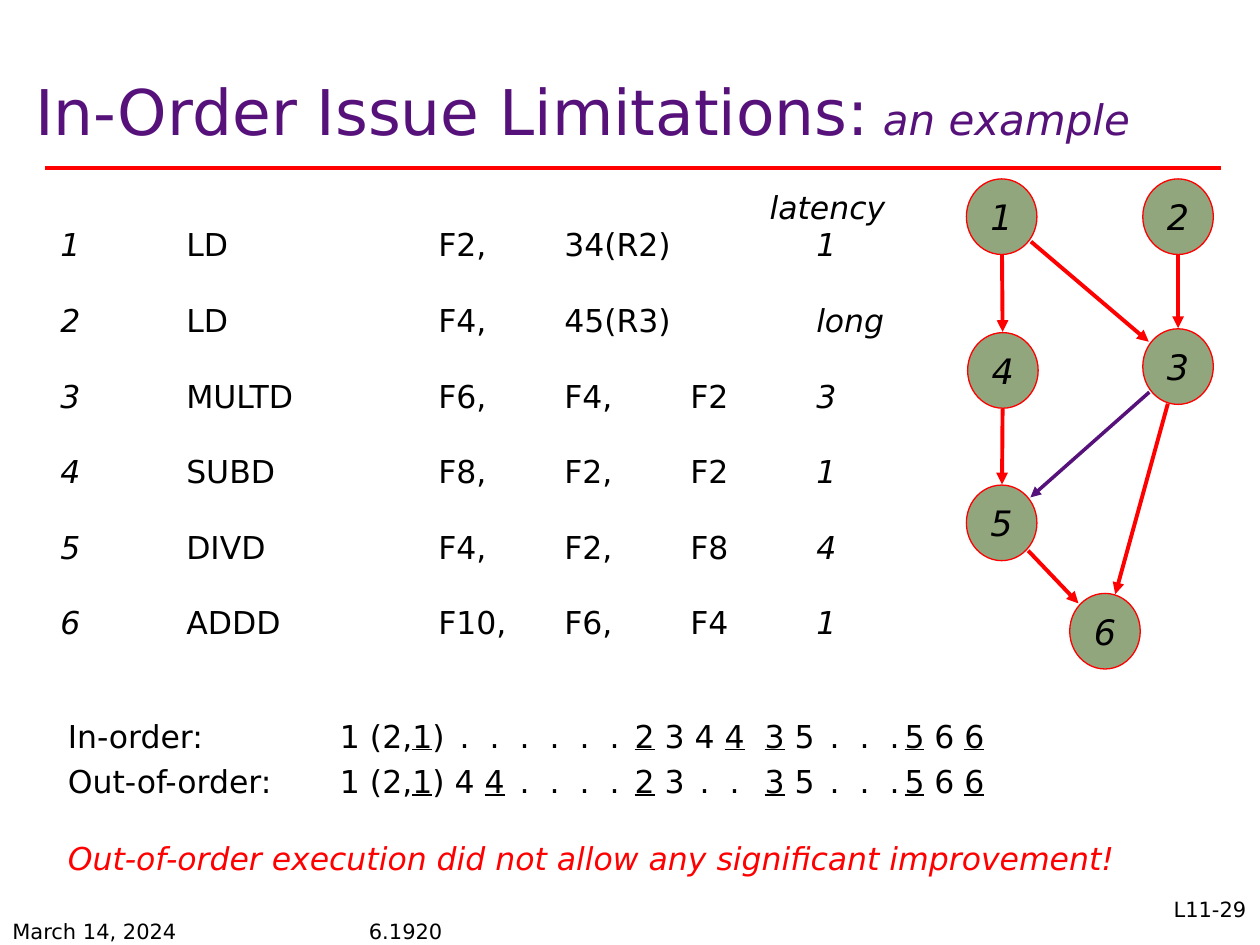
from dataclasses import dataclass
from math import hypot

from lxml import etree
from pptx import Presentation
from pptx.dml.color import RGBColor
from pptx.enum.shapes import MSO_CONNECTOR, MSO_SHAPE
from pptx.enum.text import MSO_ANCHOR, PP_ALIGN
from pptx.oxml.ns import qn
from pptx.util import Inches, Pt

STRAIGHT = MSO_CONNECTOR.STRAIGHT
OVAL = MSO_SHAPE.OVAL
TOP, MIDDLE = MSO_ANCHOR.TOP, MSO_ANCHOR.MIDDLE
LEFT, CENTER, RIGHT = PP_ALIGN.LEFT, PP_ALIGN.CENTER, PP_ALIGN.RIGHT
WIDTH, HEIGHT = Inches(10), Inches(7.5)
COLUMN, ROW = WIDTH / 100, HEIGHT / 75


@dataclass(frozen=True)
class Theme:
    """Colours, font and type sizes of the slide."""
    font: str = "DejaVu Sans"
    purple: str = "56127A"
    red: str = "FF0000"
    green: str = "91A67C"
    black: str = "000000"
    white: str = "FFFFFF"
    title: int = 36
    subtitle: int = 24
    node: int = 20
    body: int = 18
    footer: int = 12


@dataclass(frozen=True)
class Box:
    """An area given in columns and rows of the slide grid."""
    left: float
    top: float
    width: float
    height: float

    def lengths(self):
        """Return left, top, width and height as slide lengths."""
        return (round(self.left * COLUMN), round(self.top * ROW),
                round(self.width * COLUMN), round(self.height * ROW))


THEME = Theme()
INSTRUCTIONS = [
    ("LD", "F2,", "34(R2)", "", "1"),
    ("LD", "F4,", "45(R3)", "", "long"),
    ("MULTD", "F6,", "F4,", "F2", "3"),
    ("SUBD", "F8,", "F2,", "F2", "1"),
    ("DIVD", "F4,", "F2,", "F8", "4"),
    ("ADDD", "F10,", "F6,", "F4", "1"),
]
NODES = {"1": (2.8, 3), "2": (16.8, 3), "3": (16.8, 14.9),
         "4": (2.9, 15.2), "5": (2.8, 27.3), "6": (11, 35.9)}
EDGES = [("1", "4", THEME.red), ("4", "5", THEME.red), ("2", "3", THEME.red),
         ("1", "3", THEME.red), ("5", "6", THEME.red), ("3", "6", THEME.red),
         ("3", "5", THEME.purple)]
TIMELINES = [
    ("In-order:", ". . . . . . _2 3 4 _4 _3 5 . . . _5 6 _6"),
    ("Out-of-order:", "4 _4 . . . . _2 3 . . _3 5 . . . _5 6 _6"),
]


def add_run(paragraph, text, size=THEME.body, color=THEME.black, italic=False, underline=False):
    """Append one styled run to a paragraph."""
    run = paragraph.add_run()
    run.text = text
    run.font.name, run.font.size = THEME.font, Pt(size)
    run.font.color.rgb = RGBColor.from_string(color)
    run.font.italic, run.font.underline = italic, underline


def add_text_box(slide, box, anchor=TOP):
    """Add a wrapping text box and return it."""
    shape = slide.shapes.add_textbox(*box.lengths())
    shape.text_frame.word_wrap = True
    shape.text_frame.vertical_anchor = anchor
    return shape


def add_label(slide, box, text, size=THEME.body, color=THEME.black, italic=False, align=LEFT):
    """Add a text box that holds one run."""
    shape = add_text_box(slide, box)
    paragraph = shape.text_frame.paragraphs[0]
    paragraph.alignment = align
    add_run(paragraph, text, size, color, italic)
    return shape


def set_tabs(paragraph, stops):
    """Give a paragraph tab stops as (columns, alignment) pairs."""
    tabs = etree.SubElement(paragraph._p.get_or_add_pPr(), qn("a:tabLst"))
    for position, align in stops:
        etree.SubElement(tabs, qn("a:tab"), pos=str(round(position * COLUMN)), algn=align)


def add_line(slide, start, end, color, width=2.25, arrow=False):
    """Draw a straight line between two grid points."""
    points = [round(value * unit) for point in (start, end)
              for value, unit in zip(point, (COLUMN, ROW))]
    connector = slide.shapes.add_connector(STRAIGHT, *points)
    connector.line.color.rgb = RGBColor.from_string(color)
    connector.line.width = Pt(width)
    if arrow:
        etree.SubElement(connector.line._get_or_add_ln(), qn("a:tailEnd"), type="triangle")
    etree.SubElement(connector._element.spPr, qn("a:effectLst"))


def draw_title(slide, box):
    """Place the title and the rule below it."""
    paragraph = add_text_box(slide, box, MIDDLE).text_frame.paragraphs[0]
    paragraph.line_spacing = 0.8
    add_run(paragraph, "In-Order Issue Limitations:", THEME.title, THEME.purple)
    add_run(paragraph, " an example", THEME.subtitle, THEME.purple, italic=True)
    rule = box.top + box.height
    add_line(slide, (box.left + 1.8, rule), (box.left + 95.1, rule), THEME.red)


def draw_instructions(slide, box):
    """List the instructions in tabbed columns under the latency heading."""
    frame = add_text_box(slide, box).text_frame
    heading = frame.paragraphs[0]
    set_tabs(heading, [(56.3, "l")])
    add_run(heading, "\tlatency", italic=True)
    for number, (*fields, latency) in enumerate(INSTRUCTIONS, 1):
        paragraph = frame.add_paragraph()
        set_tabs(paragraph, [(stop, "l") for stop in (10, 30, 40, 50, 60)])
        if number > 1:
            paragraph.space_before = Pt(21.6)
        add_run(paragraph, str(number), italic=True)
        add_run(paragraph, "\t" + "\t".join(fields) + "\t")
        add_run(paragraph, latency, italic=True)


def draw_graph(slide, box):
    """Draw the dependency graph, with arrows trimmed to the node edges."""
    centers = {name: (box.left + x, box.top + y) for name, (x, y) in NODES.items()}
    for name, (x, y) in centers.items():
        shape = slide.shapes.add_shape(OVAL, *Box(x - 2.8, y - 3, 5.6, 6).lengths())
        shape.shadow.inherit = False
        shape.fill.solid()
        shape.fill.fore_color.rgb = RGBColor.from_string(THEME.green)
        shape.line.color.rgb = RGBColor.from_string(THEME.red)
        shape.line.width = Pt(0.75)
        frame = shape.text_frame
        frame.margin_left = frame.margin_right = frame.margin_top = frame.margin_bottom = 0
        frame.vertical_anchor = MIDDLE
        frame.paragraphs[0].alignment = CENTER
        add_run(frame.paragraphs[0], name, THEME.node, italic=True)
    for source, target, color in EDGES:
        (x1, y1), (x2, y2) = centers[source], centers[target]
        share = 3.05 / hypot(x2 - x1, y2 - y1)
        dx, dy = (x2 - x1) * share, (y2 - y1) * share
        add_line(slide, (x1 + dx, y1 + dy), (x2 - dx, y2 - dy), color,
                 2.25 if color == THEME.red else 2, arrow=True)


def draw_timelines(slide, box):
    """Write the issue order of each scheme on a row of centred cycle slots."""
    groups = ((31.5, 10), (56.1, 5), (67.2, 3))
    slots = [(start + 2.38 * step, "ctr") for start, count in groups for step in range(count)]
    for index, (name, cycles) in enumerate(TIMELINES):
        row = Box(box.left, box.top + index * box.height / 2, box.width, box.height / 2)
        paragraph = add_text_box(slide, row).text_frame.paragraphs[0]
        set_tabs(paragraph, [(21.6, "l"), *slots])
        add_run(paragraph, name + "\t1 (2,")
        add_run(paragraph, "1", underline=True)
        add_run(paragraph, ")")
        for cycle in cycles.split():
            add_run(paragraph, "\t")
            add_run(paragraph, cycle.lstrip("_"), underline=cycle.startswith("_"))


def draw_footer(slide, box):
    """Place the date, the course number and the page number."""
    add_label(slide, Box(box.left, box.top + 1.7, 20, 3.3), "March 14, 2024", THEME.footer)
    add_label(slide, Box(box.left + 28.3, box.top + 1.7, 40, 3.3), "6.1920", THEME.footer)
    page = add_label(slide, Box(box.left + box.width - 15, box.top, 15, 5), "L11-29",
                     THEME.footer, align=RIGHT)
    page.fill.solid()
    page.fill.fore_color.rgb = RGBColor.from_string(THEME.white)


def main():
    """Build the slide and save it."""
    presentation = Presentation()
    presentation.slide_width, presentation.slide_height = WIDTH, HEIGHT
    slide = presentation.slides.add_slide(presentation.slide_layouts[6])
    draw_title(slide, Box(1.8, 5.3, 91.9, 8))
    draw_instructions(slide, Box(3.8, 14.4, 68.1, 37))
    draw_graph(slide, Box(76.7, 14.2, 19.6, 38.9))
    draw_timelines(slide, Box(4.4, 56.4, 79, 7.2))
    add_label(slide, Box(4.4, 66.1, 85.6, 4),
              "Out-of-order execution did not allow any significant improvement!",
              color=THEME.red, italic=True)
    draw_footer(slide, Box(0, 70.7, 99.9, 5))
    presentation.save("out.pptx")


if __name__ == "__main__":
    main()
